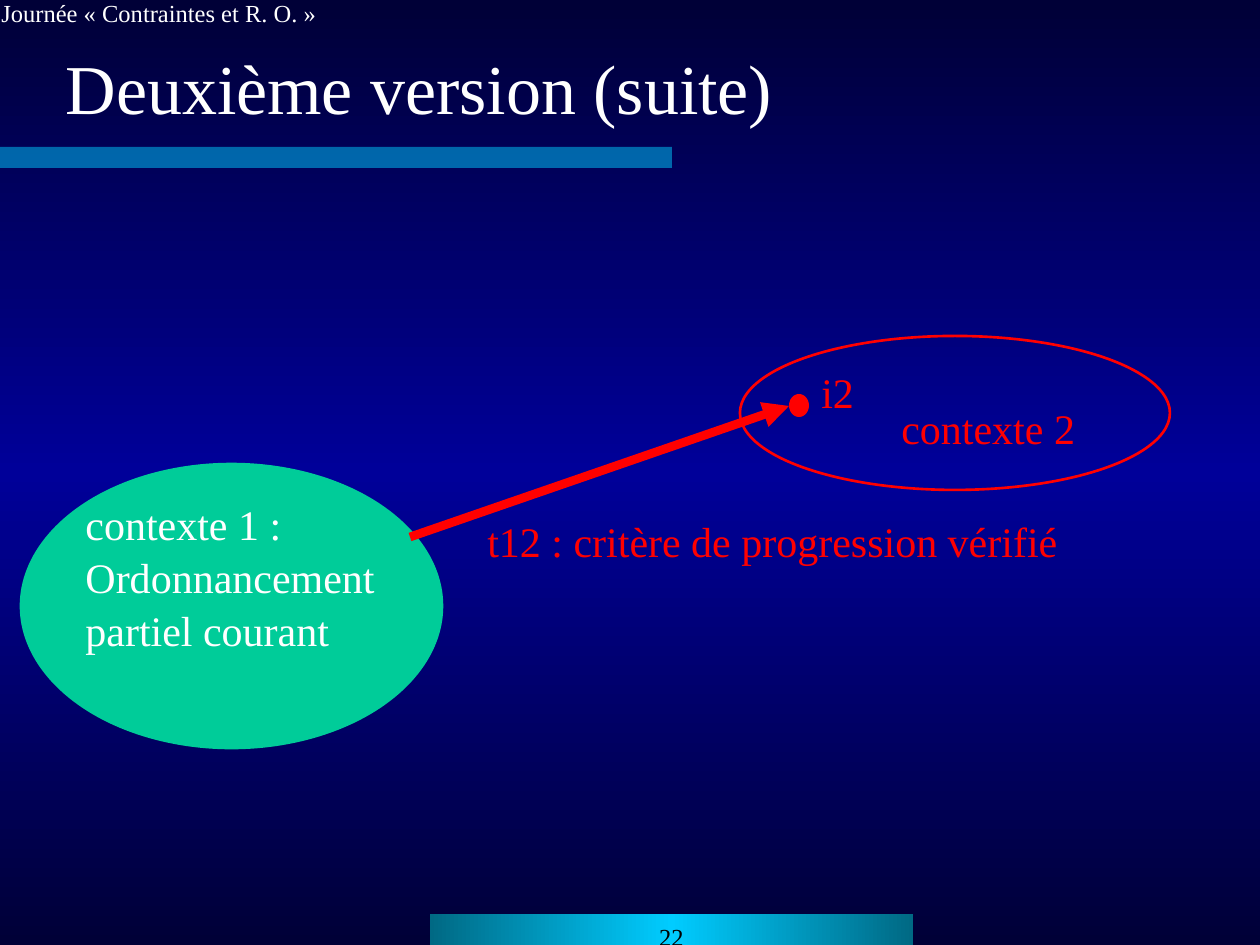
from copy import deepcopy

from lxml import etree
from pptx import Presentation
from pptx import util as u
from pptx.dml.color import RGBColor
from pptx.enum import shapes, text
from pptx.oxml.ns import qn

PX = u.Inches(1) / 126
FONT = "Times New Roman"
COLORS = {
    "night": "000037", "blue": "000099", "cyan": "00CCFF", "teal": "006984",
    "green": "00CC99", "red": "FF0000", "white": "FFFFFF", "black": "000000",
}


def px(*lengths):
    """Turn pixel lengths into EMU."""
    return [u.Emu(round(n * PX)) for n in lengths]


def rgb(name):
    """Look up a named colour."""
    return RGBColor.from_string(COLORS[name])


def fill_gradient(fill, element, edge, middle, angle):
    """Fill with a gradient that is the same at both ends."""
    fill.gradient()
    fill.gradient_angle = angle
    stops = element.find(".//" + qn("a:gsLst"))
    stops.append(deepcopy(stops[0]))
    for stop, name, position in zip(fill.gradient_stops, (edge, middle, edge), (0, 0.5, 1)):
        stop.color.rgb = rgb(name)
        stop.position = position


def write(shape, lines, size, color, align=text.PP_ALIGN.LEFT,
          anchor=text.MSO_ANCHOR.TOP, wrap=True):
    """Write one paragraph per line into a shape."""
    tf = shape.text_frame
    tf.auto_size = text.MSO_AUTO_SIZE.NONE
    tf.word_wrap = wrap
    tf.vertical_anchor = anchor
    for i, line in enumerate(lines):
        p = tf.add_paragraph() if i else tf.paragraphs[0]
        p.alignment = align
        p.line_spacing = 1.05
        r = p.add_run()
        r.text = line
        r.font.name = FONT
        r.font.size = u.Pt(size)
        r.font.color.rgb = rgb(color)


def add_label(s, box, lines, size=24, color="red", wrap=True):
    """Add a text box."""
    write(s.shapes.add_textbox(*px(*box)), lines, size, color, wrap=wrap)


def add_figure(s, kind, box, fill=None, line=None):
    """Add a preset shape with an optional fill and outline."""
    sp = s.shapes.add_shape(kind, *px(*box))
    sp.shadow.inherit = False
    if fill:
        sp.fill.solid()
        sp.fill.fore_color.rgb = rgb(fill)
    else:
        sp.fill.background()
    if line:
        sp.line.color.rgb = rgb(line)
        sp.line.width = u.Pt(1.5)
    else:
        sp.line.fill.background()
    return sp


def add_arrow(s, start, end, color, width):
    """Add a straight arrow."""
    line = s.shapes.add_connector(shapes.MSO_CONNECTOR.STRAIGHT, *px(*start, *end))
    line.line.color.rgb = rgb(color)
    line.line.width = u.Pt(width)
    etree.SubElement(line.line._get_or_add_ln(), qn("a:tailEnd"), type="triangle")
    etree.SubElement(line.element.spPr, qn("a:effectLst"))


def add_frame(s):
    """Add the background, title rule, page number and header."""
    fill_gradient(s.background.fill, s.element, "night", "blue", 90)
    rect = shapes.MSO_SHAPE.RECTANGLE
    rule = add_figure(s, rect, (0, 147, 672, 21), "cyan")
    color = rule.element.spPr.find(".//" + qn("a:srgbClr"))
    etree.SubElement(color, qn("a:alpha"), val="50000")
    footer = add_figure(s, rect, (430, 914, 483, 31))
    fill_gradient(footer.fill, footer.element, "teal", "cyan", 0)
    write(footer, ["22"], 14, "black", text.PP_ALIGN.CENTER)
    add_label(s, (-11, -10, 340, 42), ["Journée « Contraintes et R. O. »"], 14, "white", False)


def add_title(s, box, line):
    """Place and write the title above the other shapes."""
    title = s.shapes.title
    title.left, title.top, title.width, title.height = px(*box)
    write(title, [line], 40, "white", anchor=text.MSO_ANCHOR.MIDDLE)
    title.element.getparent().append(title.element)


def main():
    """Build the slide."""
    prs = Presentation()
    prs.slide_width, prs.slide_height = px(1260, 945)
    s = prs.slides.add_slide(prs.slide_layouts[5])
    add_frame(s)
    oval = shapes.MSO_SHAPE.OVAL
    add_figure(s, oval, (21, 464, 421, 284), "green", "green")
    add_label(s, (73, 490, 336, 195),
              ["contexte 1 :", "Ordonnancement", "partiel courant"], color="white")
    add_figure(s, oval, (740, 336, 430, 154), line="red")
    add_label(s, (889, 394, 280, 48), ["contexte 2"])
    add_arrow(s, (410, 537), (789, 406), "red", 5)
    add_label(s, (475, 507, 629, 91), ["t12 : critère de progression vérifié"])
    add_label(s, (809, 358, 88, 47), ["i2"])
    add_figure(s, oval, (789, 394, 20, 23), "red")
    add_title(s, (53, 32, 1034, 105), "Deuxième version (suite)")
    prs.save("out.pptx")


if __name__ == "__main__":
    main()
